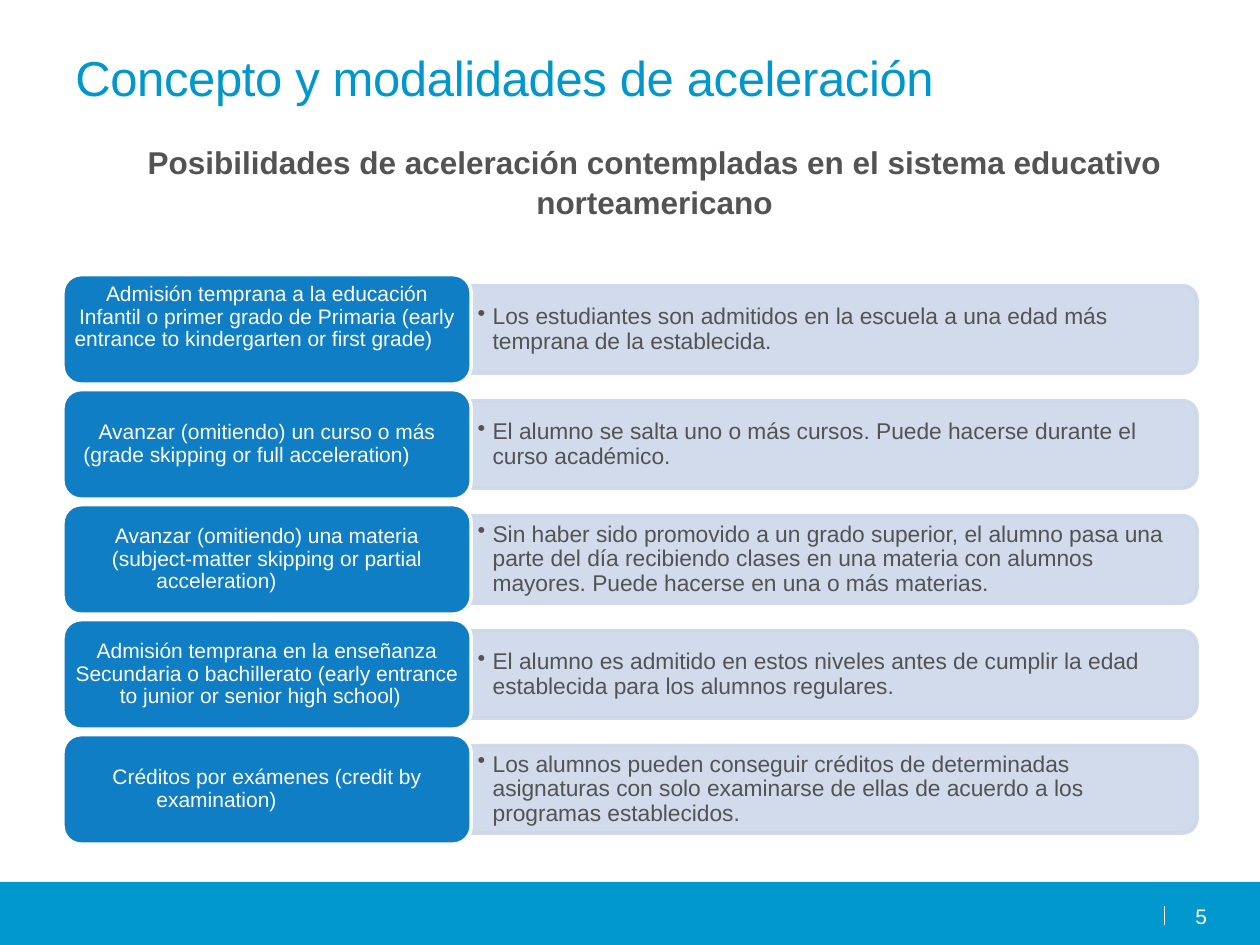
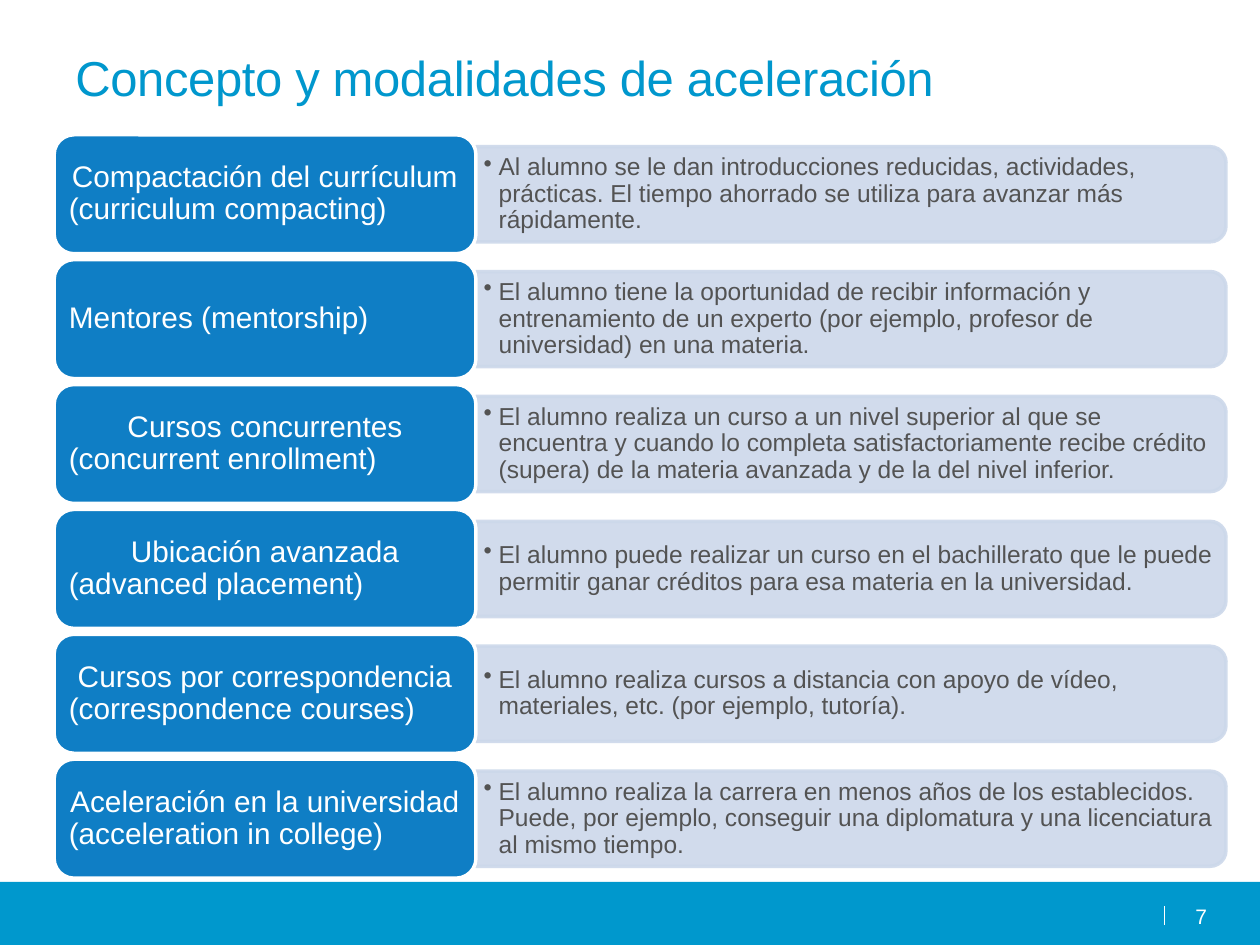
import pptx
import pptx.dml.color
import pptx.enum.shapes
import pptx.enum.text
import pptx.util
from lxml import etree
from pptx.oxml.ns import qn

RGBColor = pptx.dml.color.RGBColor
Inches = pptx.util.Inches
Pt = pptx.util.Pt
SHAPE = pptx.enum.shapes.MSO_SHAPE
ALIGN = pptx.enum.text.PP_ALIGN
ANCHOR = pptx.enum.text.MSO_ANCHOR

# ---- Content ----
TITLE = "Concepto y modalidades de aceleración"

# Each modality: centred opening, left-set last line, indent of that line, description
EARLY_MODALITIES = [
    ("Admisión temprana a la educación Infantil o primer grado de Primaria (early",
     "entrance to kindergarten or first grade)", 0,
     "Los estudiantes son admitidos en la escuela a una edad más temprana de la establecida."),
    ("Avanzar (omitiendo) un curso o más",
     "(grade skipping or full acceleration)", 0.07,
     "El alumno se salta uno o más cursos. Puede hacerse durante el curso académico."),
    ("Avanzar (omitiendo) una materia (subject-matter skipping or partial",
     "acceleration)", 0.65,
     "Sin haber sido promovido a un grado superior, el alumno pasa una parte del día "
     "recibiendo clases en una materia con alumnos mayores. Puede hacerse en una o más materias."),
    ("Admisión temprana en la enseñanza Secundaria o bachillerato (early entrance",
     "to junior or senior high school)", 0.36,
     "El alumno es admitido en estos niveles antes de cumplir la edad establecida "
     "para los alumnos regulares."),
    ("Créditos por exámenes (credit by",
     "examination)", 0.65,
     "Los alumnos pueden conseguir créditos de determinadas asignaturas con solo "
     "examinarse de ellas de acuerdo a los programas establecidos."),
]
LATER_MODALITIES = [
    ("Compactación del currículum", "(curriculum compacting)", 0,
     "Al alumno se le dan introducciones reducidas, actividades, prácticas. "
     "El tiempo ahorrado se utiliza para avanzar más rápidamente."),
    ("", "Mentores (mentorship)", 0,
     "El alumno tiene la oportunidad de recibir información y entrenamiento de un "
     "experto (por ejemplo, profesor de universidad) en una materia."),
    ("Cursos concurrentes", "(concurrent enrollment)", 0,
     "El alumno realiza un curso a un nivel superior al que se encuentra y cuando lo completa "
     "satisfactoriamente recibe crédito (supera) de la materia avanzada y de la del nivel inferior."),
    ("Ubicación avanzada", "(advanced placement)", 0,
     "El alumno puede realizar un curso en el bachillerato que le puede permitir "
     "ganar créditos para esa materia en la universidad."),
    ("Cursos por correspondencia", "(correspondence courses)", 0,
     "El alumno realiza cursos a distancia con apoyo de vídeo, materiales, etc. "
     "(por ejemplo, tutoría)."),
    ("Aceleración en la universidad", "(acceleration in college)", 0,
     "El alumno realiza la carrera en menos años de los establecidos. Puede, por ejemplo, "
     "conseguir una diplomatura y una licenciatura al mismo tiempo."),
]
SLIDES = [
    {"number": "5",
     "subtitle": "Posibilidades de aceleración contempladas en el sistema educativo norteamericano",
     "modalities": EARLY_MODALITIES, "area": (0.5, 2.18, 9, 4.52),
     "label_size": 12, "label_inset": (0.05, 0.03), "text_size": 13, "text_inset": 0.05,
     "lifted": {0: 0.19}},
    {"number": "7", "subtitle": None,
     "modalities": LATER_MODALITIES, "area": (0.43, 1.07, 9.3, 5.9),
     "label_size": 17, "label_inset": (0.07, 0.04), "text_size": 14, "text_inset": 0.06,
     "lifted": {}},
]

# ---- Shared style ----
WIDTH, HEIGHT = 10, 7.5
FONT = "Arial"
BAND_BLUE = RGBColor(0x00, 0x98, 0xCD)
TITLE_BLUE = RGBColor(0x00, 0x97, 0xCD)
LABEL_BLUE = RGBColor(0x0F, 0x7E, 0xC5)
BAR_BLUE = RGBColor(0xCC, 0xD8, 0xEA)
GREY = RGBColor(0x53, 0x53, 0x53)
WHITE = RGBColor(0xFF, 0xFF, 0xFF)

# Row proportions
LABEL_SHARE = 0.36   # of the area's width
BAR_SHARE = 0.8      # of the label's height
GAP_SHARE = 0.05     # of the label's height
BULLET_INDENT = 0.12


def style(paragraph, size, color, align=ALIGN.LEFT, spacing=None, bold=False):
    paragraph.alignment = align
    if spacing:
        paragraph.line_spacing = spacing
    font = paragraph.font
    font.name, font.size, font.bold = FONT, Pt(size), bold
    font.color.rgb = color


def set_frame(frame, inset_x, inset_y, anchor=ANCHOR.TOP):
    frame.word_wrap = True
    frame.vertical_anchor = anchor
    frame.margin_left = frame.margin_right = Inches(inset_x)
    frame.margin_top = frame.margin_bottom = Inches(inset_y)


def add_text(slide, box, text, inset=(0.1, 0.05), anchor=ANCHOR.TOP):
    frame = slide.shapes.add_textbox(*map(Inches, box)).text_frame
    set_frame(frame, *inset, anchor)
    paragraph = frame.paragraphs[0]
    paragraph.text = text
    return paragraph


def add_filled(slide, kind, box, fill, line=None):
    shape = slide.shapes.add_shape(kind, *map(Inches, box))
    shape.shadow.inherit = False
    shape.fill.solid()
    shape.fill.fore_color.rgb = fill
    if line is None:
        shape.line.fill.background()
    else:
        shape.line.color.rgb = line
        shape.line.width = Pt(2)
    return shape


def add_title_and_footer(slide, number):
    title = add_text(slide, (0.5, 0.33, 9, 0.6), TITLE)
    style(title, 28, TITLE_BLUE)
    title.runs[0]._r.get_or_add_rPr().set("spc", "-20")

    add_filled(slide, SHAPE.RECTANGLE, (0, 7, WIDTH, HEIGHT - 7), BAND_BLUE)
    divider = slide.shapes.add_connector(
        pptx.enum.shapes.MSO_CONNECTOR.STRAIGHT, *map(Inches, (9.24, 7.34, 9.24, 7.19)))
    divider.line.color.rgb = WHITE
    divider.line.width = Pt(0.75)
    etree.SubElement(divider._element.spPr, qn("a:effectLst"))
    page = add_text(slide, (9.28, 7.17, 0.3, 0.19), number, inset=(0, 0))
    style(page, 12, WHITE, ALIGN.RIGHT)


def add_bar(slide, left, middle, width, height):
    """Bar with its right corners rounded: a top-rounded shape turned a quarter."""
    box = (left + (width - height) / 2, middle - width / 2, height, width)
    bar = add_filled(slide, SHAPE.ROUND_2_SAME_RECTANGLE, box, BAR_BLUE, BAR_BLUE)
    bar.rotation = 90
    for color in bar._element.spPr.iter(qn("a:srgbClr")):
        etree.SubElement(color, qn("a:alpha"), val="90000")


def add_description(slide, box, text, size, inset):
    paragraph = add_text(slide, box, text, (inset, 0.03), ANCHOR.MIDDLE)
    paragraph.line_spacing = 0.9
    properties = paragraph._p.get_or_add_pPr()
    properties.set("marL", str(Inches(BULLET_INDENT)))
    properties.set("indent", str(-Inches(BULLET_INDENT)))
    etree.SubElement(properties, qn("a:buChar"), char="•")
    style(paragraph, size, GREY)


def add_label(slide, box, opening, last_line, indent, size, inset, lift):
    label = add_filled(slide, SHAPE.ROUNDED_RECTANGLE, box, LABEL_BLUE, WHITE)
    frame = label.text_frame
    set_frame(frame, *inset, ANCHOR.MIDDLE)
    frame.margin_bottom += Inches(lift)
    paragraph = frame.paragraphs[0]
    if opening:
        paragraph.text = opening
        style(paragraph, size, WHITE, ALIGN.CENTER, 0.9)
        paragraph = frame.add_paragraph()
    paragraph.text = last_line
    paragraph._p.get_or_add_pPr().set("marL", str(Inches(indent)))
    style(paragraph, size, WHITE, spacing=0.9)


def add_modalities(slide, content):
    left, top, width, height = content["area"]
    rows = content["modalities"]
    label_height = height / (len(rows) + GAP_SHARE * (len(rows) - 1))
    label_width = width * LABEL_SHARE
    bar_left, bar_width = left + label_width, width - label_width
    bar_height = label_height * BAR_SHARE
    text_height = bar_height * 0.9
    text_width = bar_width - bar_height * 0.05

    for i, (opening, last_line, indent, description) in enumerate(rows):
        row_top = top + i * label_height * (1 + GAP_SHARE)
        middle = row_top + label_height / 2
        add_bar(slide, bar_left, middle, bar_width, bar_height)
        add_description(slide, (bar_left, middle - text_height / 2, text_width, text_height),
                        description, content["text_size"], content["text_inset"])
        add_label(slide, (left, row_top, label_width, label_height), opening, last_line, indent,
                  content["label_size"], content["label_inset"], content["lifted"].get(i, 0))


def main():
    deck = pptx.Presentation()
    deck.slide_width, deck.slide_height = Inches(WIDTH), Inches(HEIGHT)
    for content in SLIDES:
        slide = deck.slides.add_slide(deck.slide_layouts[6])
        add_title_and_footer(slide, content["number"])
        if content["subtitle"]:
            subtitle = add_text(slide, (1.06, 1.07, 8.27, 0.71), content["subtitle"])
            style(subtitle, 18, GREY, ALIGN.CENTER, 1.05, bold=True)
        add_modalities(slide, content)
    deck.save("out.pptx")


if __name__ == "__main__":
    main()
